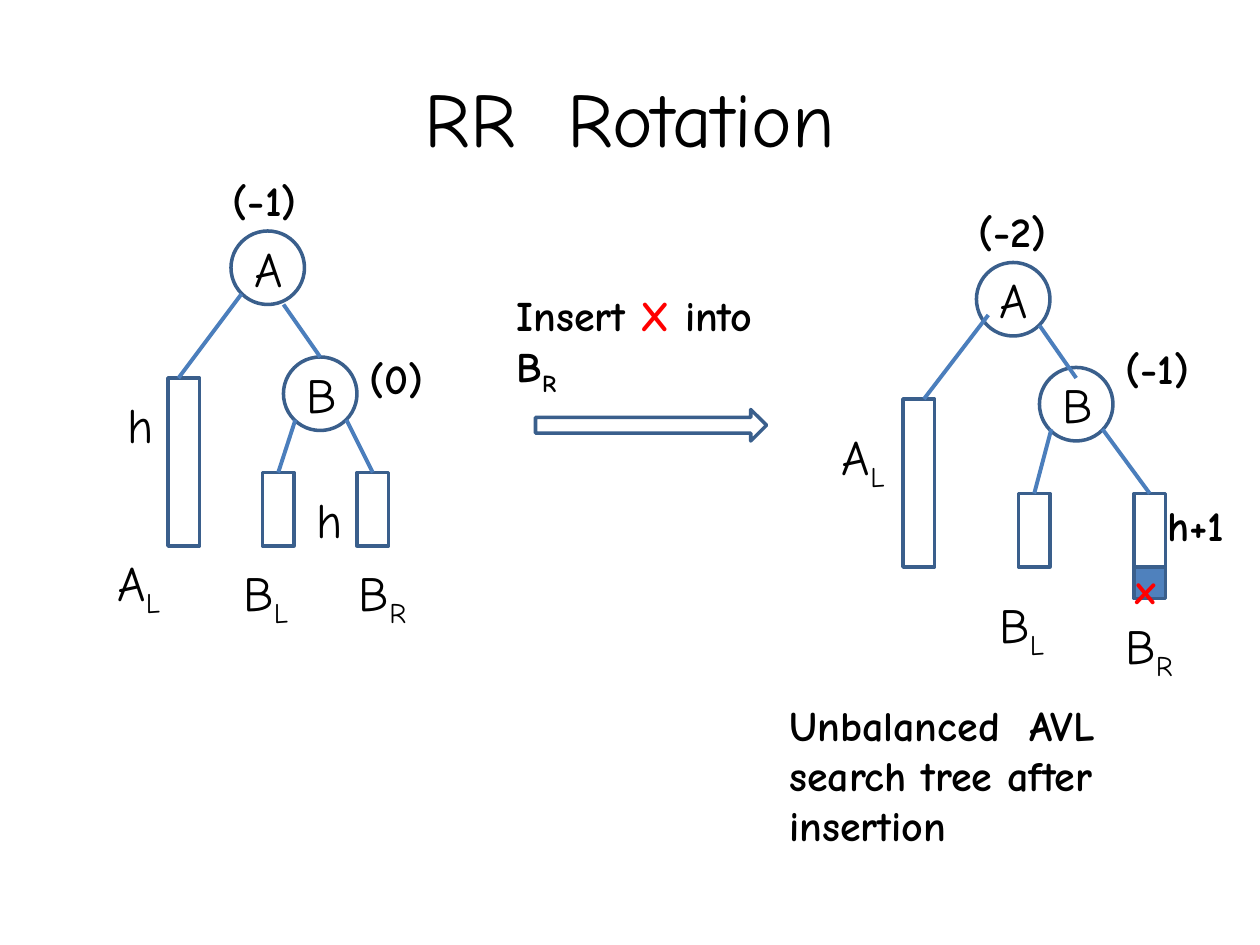
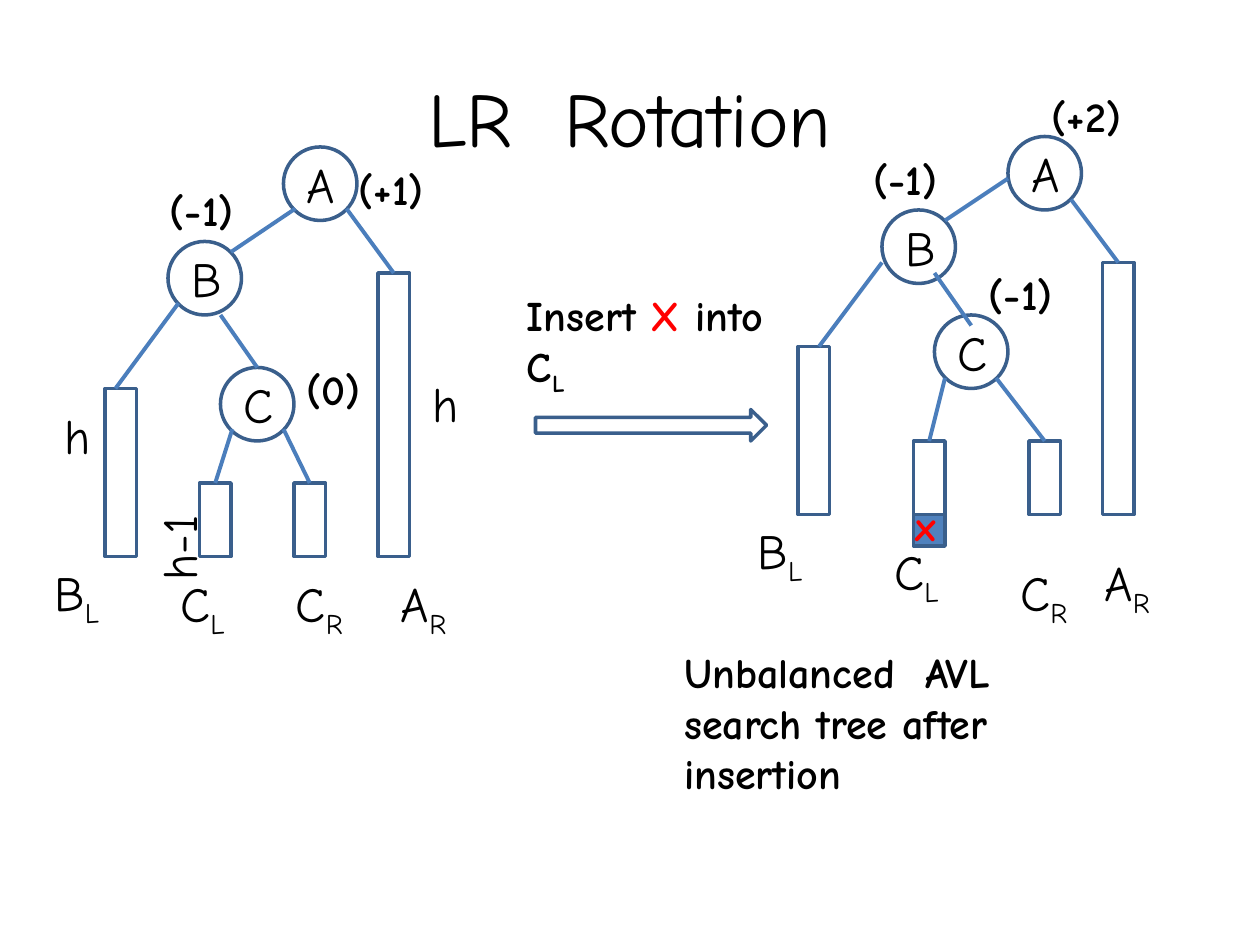
from dataclasses import dataclass
from typing import NamedTuple

from pptx import Presentation
from pptx.dml.color import RGBColor
from pptx.enum.shapes import MSO_CONNECTOR, MSO_SHAPE
from pptx.enum.text import MSO_ANCHOR, MSO_AUTO_SIZE, PP_ALIGN
from pptx.oxml.ns import qn
from pptx.util import Emu, Pt
from lxml.etree import SubElement

# Shared style
EMU_PER_PX = 9525  # 96 px to the inch
FONT = "Comic Neue"
BLACK = RGBColor(0x00, 0x00, 0x00)
RED = RGBColor(0xFF, 0x00, 0x00)
OUTLINE = RGBColor(0x3A, 0x5F, 0x8C)
EDGE = RGBColor(0x4B, 0x7E, 0xBC)
INSERTED = RGBColor(0x4F, 0x81, 0xBD)
NODE_SIZE = 56
BAR_WIDTH = 24
SHORT, TALL = 56, 128  # subtree bar heights
CAPTION = "Unbalanced  AVL search tree after insertion"


class Piece(NamedTuple):
    text: str
    color: RGBColor = BLACK
    subscript: bool = False


class Node(NamedTuple):
    name: str
    left: int
    top: int


class Bar(NamedTuple):
    left: int
    top: int
    height: int = SHORT


class Edge(NamedTuple):
    start_x: int
    start_y: int
    end_x: int
    end_y: int


@dataclass(frozen=True)
class Label:
    pieces: tuple[Piece, ...]
    left: int
    top: int
    width: int
    height: int = 55
    size: int = 28
    bold: bool = False
    rotation: int = 0


@dataclass(frozen=True)
class Tree:
    nodes: list[Node]
    bars: list[Bar]
    edges: list[Edge]
    labels: list[Label]
    inserted: Bar | None = None


@dataclass(frozen=True)
class RotationSlide:
    title: str
    insert_label: Label
    before: Tree
    after: Tree


# Label kinds
def subtree(name: str, side: str, left: int, top: int) -> Label:
    return Label((Piece(name), Piece(side, subscript=True)), left, top, 80)


def height(text: str, left: int, top: int, width: int = 32, rotation: int = 0) -> Label:
    return Label((Piece(text),), left, top, width, rotation=rotation)


def bold(text: str, left: int, top: int, width: int = 120,
         tall: int = 48, color: RGBColor = BLACK) -> Label:
    return Label((Piece(text, color),), left, top, width, tall, 24, True)


def caption(left: int, top: int) -> Label:
    return bold(CAPTION, left, top, 304, 126)


def insertion(name: str, side: str, left: int) -> Label:
    pieces = (Piece("Insert "), Piece("X ", RED), Piece(f"into {name}"),
              Piece(side, subscript=True))
    return Label(pieces, left, 216, 208, 87, 24, True)


SLIDES = [
    RotationSlide(
        "RR  Rotation",
        insertion("B", "R", 384),
        before=Tree(
            nodes=[Node("A", 176, 176), Node("B", 216, 272)],
            bars=[Bar(128, 288, TALL), Bar(200, 360), Bar(272, 360)],
            edges=[Edge(184, 224, 136, 288), Edge(216, 232, 244, 272),
                   Edge(225, 320, 212, 360), Edge(264, 320, 284, 360)],
            labels=[bold("(-1)", 168, 128), bold("(0)", 272, 264, 64),
                    height("h", 88, 296), height("h", 232, 368),
                    subtree("A", "L", 80, 416), subtree("B", "L", 176, 424),
                    subtree("B", "R", 264, 424)],
        ),
        after=Tree(
            nodes=[Node("A", 744, 200), Node("B", 792, 280)],
            bars=[Bar(688, 304, TALL), Bar(776, 376), Bar(864, 376)],
            edges=[Edge(753, 240, 704, 304), Edge(792, 248, 820, 288),
                   Edge(801, 327, 788, 376), Edge(840, 327, 876, 376)],
            labels=[bold("(-2)", 736, 152), bold("(-1)", 848, 256, 88),
                    bold("h+1", 880, 376, 88), bold("x", 856, 424, 48, color=RED),
                    subtree("A", "L", 632, 320), subtree("B", "L", 752, 448),
                    subtree("B", "R", 848, 464), caption(592, 528)],
            inserted=Bar(864, 432, BAR_WIDTH),
        ),
    ),
    RotationSlide(
        "LR  Rotation",
        insertion("C", "L", 392),
        before=Tree(
            nodes=[Node("A", 216, 112), Node("B", 128, 184), Node("C", 168, 280)],
            bars=[Bar(80, 296, TALL), Bar(152, 368), Bar(224, 368), Bar(288, 208, 216)],
            edges=[Edge(176, 192, 225, 159), Edge(264, 159, 300, 208),
                   Edge(136, 231, 88, 296), Edge(168, 240, 196, 280),
                   Edge(177, 327, 164, 368), Edge(216, 327, 236, 368)],
            labels=[bold("(+1)", 264, 120), bold("(-1)", 120, 136),
                    bold("(0)", 224, 272, 64), height("h", 40, 304),
                    height("h", 320, 280), height("h-1", 72, 360, 128, 270),
                    subtree("B", "L", 32, 424), subtree("C", "L", 128, 432),
                    subtree("C", "R", 216, 432), subtree("A", "R", 296, 432)],
        ),
        after=Tree(
            nodes=[Node("A", 768, 104), Node("B", 672, 160), Node("C", 712, 240)],
            bars=[Bar(608, 264, TALL), Bar(696, 336), Bar(784, 336), Bar(840, 200, 192)],
            edges=[Edge(720, 168, 768, 136), Edge(816, 152, 852, 200),
                   Edge(672, 200, 624, 264), Edge(712, 208, 740, 248),
                   Edge(720, 288, 708, 336), Edge(759, 288, 796, 336)],
            labels=[bold("(+2)", 792, 64), bold("(-1)", 656, 112),
                    bold("(-1)", 744, 200, 88), bold("x", 688, 376, 48, color=RED),
                    subtree("B", "L", 568, 392), subtree("C", "L", 672, 408),
                    subtree("C", "R", 768, 424), subtree("A", "R", 832, 416),
                    caption(512, 488)],
            inserted=Bar(696, 392, BAR_WIDTH),
        ),
    ),
]


# Drawing
def px(*lengths: int) -> list[Emu]:
    return [Emu(length * EMU_PER_PX) for length in lengths]


def style_font(font, size: int, color: RGBColor = BLACK, is_bold: bool = False) -> None:
    font.name = FONT
    font.size = Pt(size)
    font.bold = is_bold
    font.color.rgb = color


def add_outlined(slide, kind: MSO_SHAPE, left: int, top: int, width: int, tall: int,
                 fill: RGBColor | None = None):
    shape = slide.shapes.add_shape(kind, *px(left, top, width, tall))
    shape.shadow.inherit = False
    if fill is None:
        shape.fill.background()
    else:
        shape.fill.solid()
        shape.fill.fore_color.rgb = fill
    shape.line.color.rgb = OUTLINE
    shape.line.width = Pt(2)
    return shape


def add_node(slide, node: Node) -> None:
    shape = add_outlined(slide, MSO_SHAPE.OVAL, node.left, node.top, NODE_SIZE, NODE_SIZE)
    text_frame = shape.text_frame
    text_frame.text = node.name
    text_frame.vertical_anchor = MSO_ANCHOR.MIDDLE
    paragraph = text_frame.paragraphs[0]
    paragraph.alignment = PP_ALIGN.CENTER
    style_font(paragraph.runs[0].font, 28)


def add_bar(slide, bar: Bar, fill: RGBColor | None = None) -> None:
    add_outlined(slide, MSO_SHAPE.RECTANGLE, bar.left, bar.top, BAR_WIDTH, bar.height, fill)


def add_edge(slide, edge: Edge) -> None:
    connector = slide.shapes.add_connector(MSO_CONNECTOR.STRAIGHT, *px(*edge))
    connector.line.color.rgb = EDGE
    connector.line.width = Pt(2.25)
    SubElement(connector._element.spPr, qn("a:effectLst"))


def add_label(slide, label: Label) -> None:
    box = slide.shapes.add_textbox(*px(label.left, label.top, label.width, label.height))
    box.rotation = label.rotation
    text_frame = box.text_frame
    text_frame.word_wrap = True
    text_frame.auto_size = MSO_AUTO_SIZE.SHAPE_TO_FIT_TEXT
    paragraph = text_frame.paragraphs[0]
    for piece in label.pieces:
        run = paragraph.add_run()
        run.text = piece.text
        style_font(run.font, label.size, piece.color, label.bold)
        if piece.subscript:
            run.font._element.set("baseline", "-25000")


def add_tree(slide, tree: Tree) -> None:
    if tree.inserted:
        add_bar(slide, tree.inserted, INSERTED)
    for node in tree.nodes:
        add_node(slide, node)
    for bar in tree.bars:
        add_bar(slide, bar)
    for edge in tree.edges:
        add_edge(slide, edge)
    for label in tree.labels:
        add_label(slide, label)


def add_title(slide, text: str) -> None:
    title = slide.shapes.title
    title.left, title.top, title.width, title.height = px(48, 29, 864, 120)
    text_frame = title.text_frame
    text_frame.text = text
    text_frame.vertical_anchor = MSO_ANCHOR.MIDDLE
    paragraph = text_frame.paragraphs[0]
    paragraph.alignment = PP_ALIGN.CENTER
    style_font(paragraph.runs[0].font, 44)


def add_rotation_slide(presentation, content: RotationSlide) -> None:
    slide = presentation.slides.add_slide(presentation.slide_layouts.get_by_name("Title Only"))
    add_title(slide, content.title)
    add_tree(slide, content.before)
    add_outlined(slide, MSO_SHAPE.RIGHT_ARROW, 408, 312, 176, 24)
    add_label(slide, content.insert_label)
    add_tree(slide, content.after)


def main() -> None:
    presentation = Presentation()
    presentation.slide_width, presentation.slide_height = px(960, 720)
    for content in SLIDES:
        add_rotation_slide(presentation, content)
    presentation.save("out.pptx")


if __name__ == "__main__":
    main()
